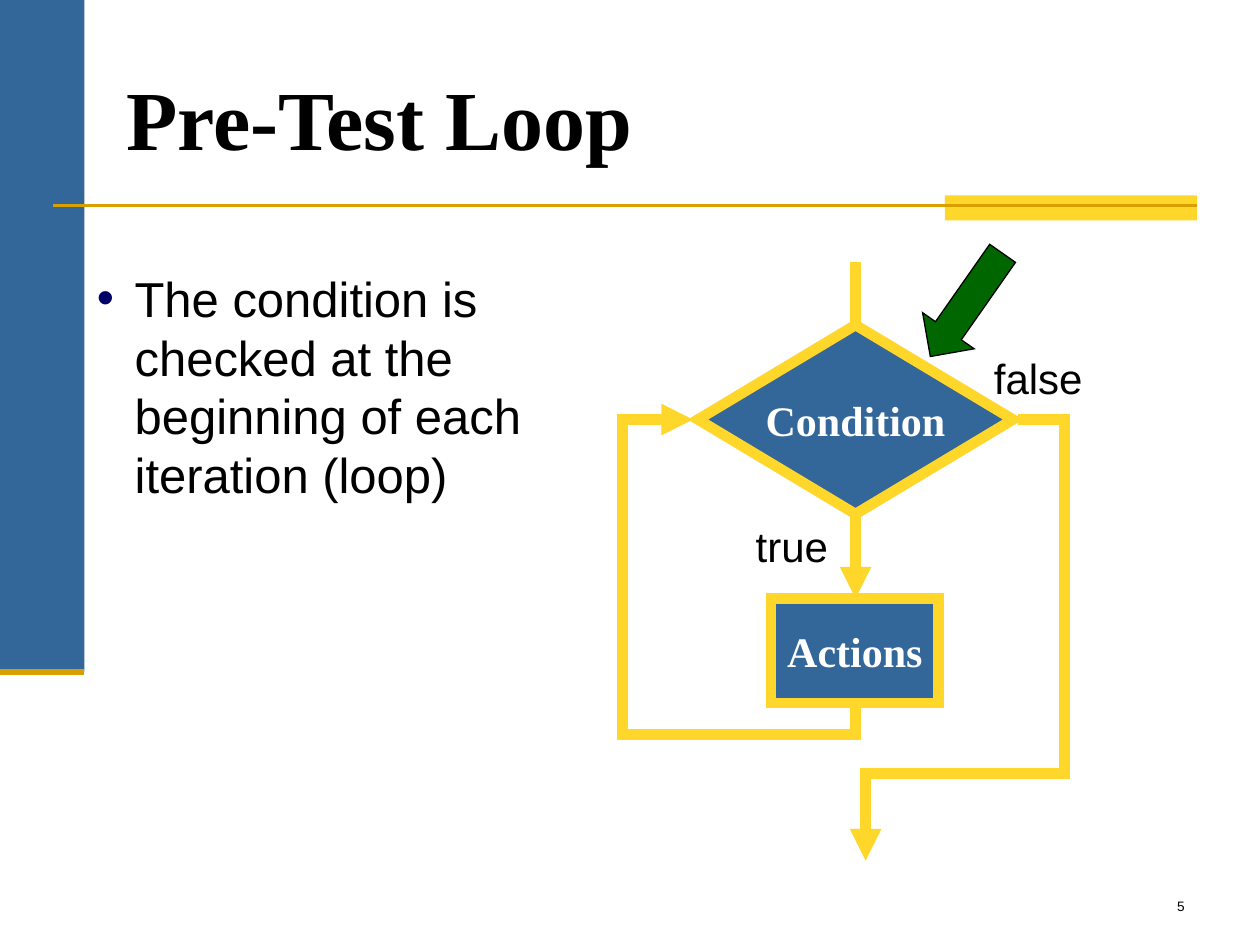
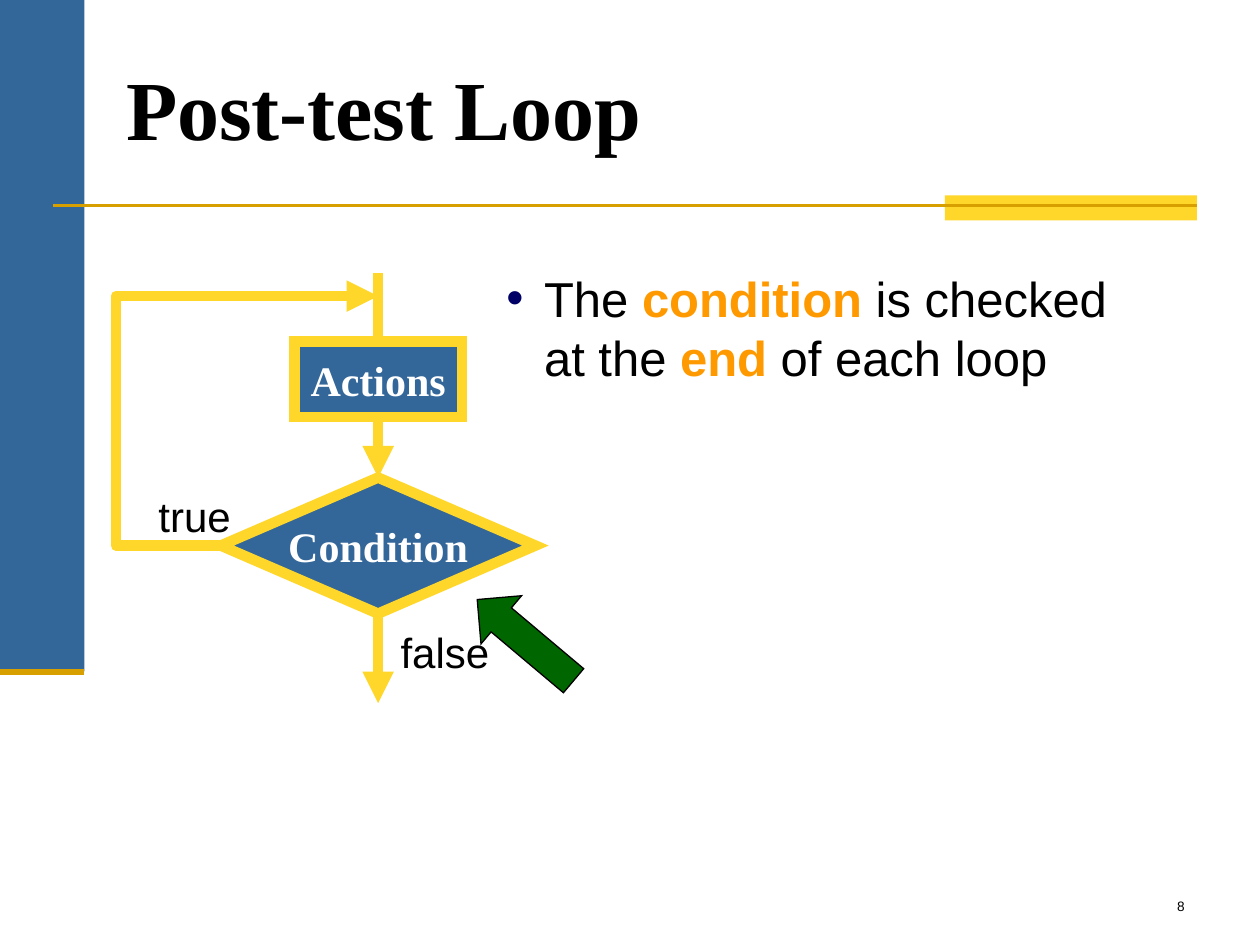
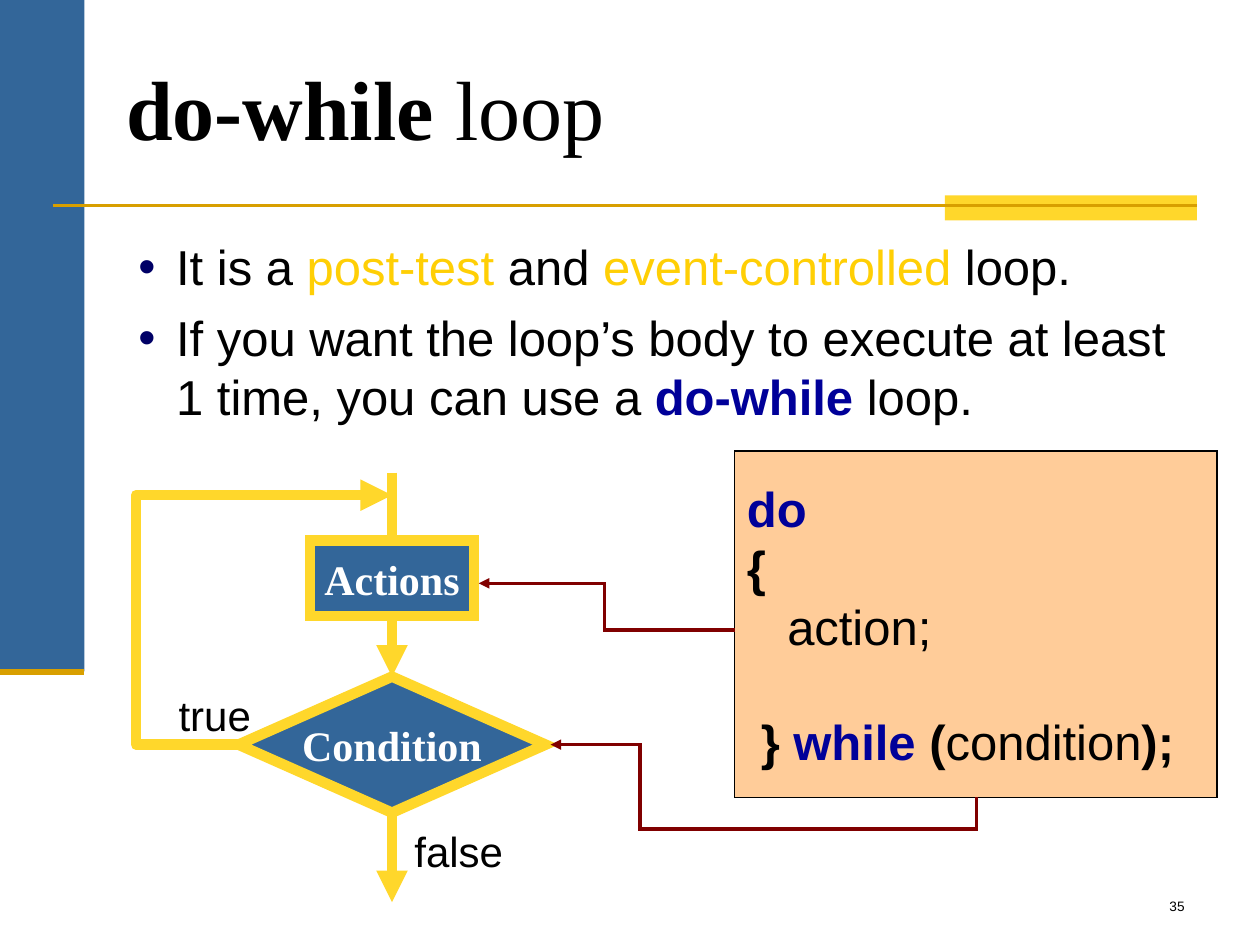
from lxml import etree
from pptx import Presentation
from pptx.dml.color import RGBColor
from pptx.enum.shapes import MSO_CONNECTOR, MSO_SHAPE
from pptx.enum.text import MSO_ANCHOR, MSO_AUTO_SIZE, PP_ALIGN
from pptx.oxml.ns import qn
from pptx.util import Inches, Pt

STRAIGHT = MSO_CONNECTOR.STRAIGHT
RECTANGLE = MSO_SHAPE.RECTANGLE
DECISION = MSO_SHAPE.FLOWCHART_DECISION
RIGHT_ARROW = MSO_SHAPE.RIGHT_ARROW
LEFT, CENTER, RIGHT = PP_ALIGN.LEFT, PP_ALIGN.CENTER, PP_ALIGN.RIGHT
TOP, MIDDLE, BOTTOM = MSO_ANCHOR.TOP, MSO_ANCHOR.MIDDLE, MSO_ANCHOR.BOTTOM
NO_FIT = MSO_AUTO_SIZE.NONE

BLACK = RGBColor(0x00, 0x00, 0x00)
WHITE = RGBColor(0xFF, 0xFF, 0xFF)
BLUE = RGBColor(0x33, 0x66, 0x99)
YELLOW = RGBColor(0xFF, 0xD7, 0x2B)
GOLD = RGBColor(0xD8, 0x9F, 0x00)
GREEN = RGBColor(0x00, 0x66, 0x00)
ORANGE = RGBColor(0xFF, 0x99, 0x00)
AMBER = RGBColor(0xFF, 0xCF, 0x05)
KEYWORD = RGBColor(0x00, 0x00, 0x99)
BULLET = RGBColor(0x00, 0x00, 0x66)
PEACH = RGBColor(0xFF, 0xCC, 0x99)
MAROON = RGBColor(0x80, 0x00, 0x00)

SANS, SERIF = "Arial", "Times New Roman"
FLOW_WIDTH = 6
LINK_WIDTH = 2


def add_runs(paragraph, runs, size, font=SANS):
    for text, color, bold in runs:
        run = paragraph.add_run()
        run.text = text
        run.font.size = Pt(size)
        run.font.name = font
        run.font.bold = bold
        run.font.color.rgb = color


def set_line(item, color, width, arrow=False, miter=False):
    item.line.color.rgb = color
    item.line.width = Pt(width)
    outline = item.element.spPr.find(qn("a:ln"))
    if miter:
        etree.SubElement(outline, qn("a:miter"), lim="800000")
    if arrow:
        etree.SubElement(outline, qn("a:tailEnd"), type="triangle")


def add_line(slide, start, end, color=YELLOW, width=FLOW_WIDTH, arrow=False):
    line = slide.shapes.add_connector(
        STRAIGHT, *(Inches(value) for value in (*start, *end)))
    set_line(line, color, width, arrow)
    etree.SubElement(line.element.spPr, qn("a:effectLst"))


def add_route(slide, points, color=YELLOW, width=FLOW_WIDTH, miter=True):
    start, *turns = [(Inches(x), Inches(y)) for x, y in points]
    builder = slide.shapes.build_freeform(*start)
    builder.add_line_segments(turns, close=False)
    route = builder.convert_to_shape()
    route.shadow.inherit = False
    route.fill.background()
    set_line(route, color, width, arrow=True, miter=miter)


def add_block(slide, kind, box, fill, line=None, width=0.75):
    block = slide.shapes.add_shape(kind, *map(Inches, box))
    block.shadow.inherit = False
    block.fill.solid()
    block.fill.fore_color.rgb = fill
    if line is None:
        block.line.fill.background()
    else:
        set_line(block, line, width, miter=True)
    return block


def add_step(slide, kind, box, name):
    frame = add_block(slide, kind, box, BLUE, YELLOW, FLOW_WIDTH).text_frame
    frame.word_wrap = False
    frame.vertical_anchor = MIDDLE
    frame.paragraphs[0].alignment = CENTER
    add_runs(frame.paragraphs[0], [(name, WHITE, True)], 24, SERIF)


def add_text(slide, box):
    frame = slide.shapes.add_textbox(*map(Inches, box)).text_frame
    frame.word_wrap = True
    frame.vertical_anchor = TOP
    return frame


def add_branch_label(slide, left, top, width, outcome):
    frame = add_text(slide, (left, top, width, 0.5))
    frame.margin_left = 0
    frame.paragraphs[0].alignment = RIGHT
    add_runs(frame.paragraphs[0], [(outcome, BLACK, False)], 24)


def add_pointer(slide, left, top, angle):
    pointer = add_block(slide, RIGHT_ARROW, (left, top, 1, 0.5), GREEN, BLACK)
    pointer.rotation = angle


def add_bullets(slide, box, items):
    frame = add_text(slide, box)
    for index, runs in enumerate(items):
        item = frame.add_paragraph() if index else frame.paragraphs[0]
        item.space_before = Pt(7)
        properties = item._p.get_or_add_pPr()
        properties.set("marL", str(Inches(0.3)))
        properties.set("indent", str(-Inches(0.3)))
        color = etree.SubElement(properties, qn("a:buClr"))
        etree.SubElement(color, qn("a:srgbClr"), val=str(BULLET))
        etree.SubElement(properties, qn("a:buFont"), typeface=SANS)
        etree.SubElement(properties, qn("a:buChar"), char="•")
        add_runs(item, runs, 28)


def add_page(deck, title_runs, number, title_height=0.95):
    slide = deck.slides.add_slide(deck.slide_layouts[5])
    add_block(slide, RECTANGLE, (0, 0, 0.67, 5.33), BLUE)
    add_block(slide, RECTANGLE, (7.5, 1.55, 2, 0.2), YELLOW)
    add_line(slide, (0.42, 1.63), (9.5, 1.63), GOLD, 1.5)
    add_line(slide, (0, 5.33), (0.67, 5.33), GOLD, 3.5)

    title = slide.shapes.title
    title.left, title.top = Inches(1), Inches(0.3)
    title.width, title.height = Inches(8.5), Inches(title_height)
    heading = title.text_frame
    heading.word_wrap = True
    heading.auto_size = NO_FIT
    heading.vertical_anchor = BOTTOM
    heading.margin_left = heading.margin_right = heading.margin_bottom = 0
    heading.margin_top = Inches(0.05)
    heading.paragraphs[0].alignment = LEFT
    add_runs(heading.paragraphs[0], title_runs, 48, SERIF)

    footer = add_text(slide, (7.42, 7.08, 2.08, 0.25)).paragraphs[0]
    footer.alignment = RIGHT
    add_runs(footer, [(number, BLACK, False)], 7.8)
    return slide


def add_pre_test_flow(slide, left, top):
    axis = left + 1.85
    middle = top + 1.25
    add_step(slide, DECISION, (axis - 1.25, top + 0.5, 2.5, 1.5), "Condition")
    add_line(slide, (axis, top + 2), (axis, top + 2.67), arrow=True)
    add_step(slide, RECTANGLE, (axis - 0.67, top + 2.67, 1.33, 0.83), "Actions")
    add_route(slide, [(axis, top + 3.54), (axis, top + 3.75), (left, top + 3.75),
                      (left, middle), (left + 0.56, middle)])
    exit_axis = axis + 0.08
    add_route(slide, [(axis + 1.29, middle), (left + 3.51, middle),
                      (left + 3.51, top + 4.06), (exit_axis, top + 4.06),
                      (exit_axis, top + 4.75)])
    add_line(slide, (axis, top), (axis, top + 0.5))
    add_branch_label(slide, left + 0.95, top + 2, 0.78, "true")
    add_branch_label(slide, left + 2.85, top + 0.67, 0.9, "false")


def add_post_test_flow(slide, left, top, width):
    axis = left + width * 0.625
    condition_width, actions_width = width * 0.75, width * 0.4
    middle = top + 2.16
    add_step(slide, DECISION,
             (axis - condition_width / 2, top + 1.62, condition_width, 1.08),
             "Condition")
    add_line(slide, (axis, top + 1.14), (axis, top + 1.62), arrow=True)
    add_step(slide, RECTANGLE,
             (axis - actions_width / 2, top + 0.54, actions_width, 0.6), "Actions")
    add_branch_label(slide, left + 0.24, top + 1.67, 0.77, "true")
    add_branch_label(slide, axis + 0.08, top + 2.75, 0.9, "false")
    add_line(slide, (axis, top + 2.7), (axis, top + 3.41), arrow=True)
    add_route(slide, [(left + 0.86, middle), (left, middle), (left, top + 0.18),
                      (axis, top + 0.18)], miter=False)
    add_line(slide, (axis, top), (axis, top + 0.54))


def add_code(slide, box):
    frame = add_block(slide, RECTANGLE, box, PEACH, BLACK).text_frame
    frame.word_wrap = True
    frame.vertical_anchor = MIDDLE
    lines = [
        (0, 0, [("do", KEYWORD, True)]),
        (0, 0, [("{", BLACK, True)]),
        (0.32, 0, [("action;", BLACK, False)]),
        (0.11, 32, [("} ", BLACK, True), ("while", KEYWORD, True),
                    (" (", BLACK, True), ("condition", BLACK, False),
                    (");", BLACK, True)]),
    ]
    for index, (indent, gap, runs) in enumerate(lines):
        line = frame.add_paragraph() if index else frame.paragraphs[0]
        line.alignment = LEFT
        line.space_before = Pt(gap)
        line._p.get_or_add_pPr().set("marL", str(Inches(indent)))
        add_runs(line, runs, 28)


def build_pre_test(deck):
    slide = add_page(deck, [("Pre-Test Loop", BLACK, True)], "5", 1.03)
    add_bullets(slide, (0.67, 2.08, 4.42, 4.85), [
        [("The condition is checked at the beginning of each iteration (loop)",
          BLACK, False)],
    ])
    add_pre_test_flow(slide, 4.94, 2.08)
    add_pointer(slide, 7.17, 2.17, 125)


def build_post_test(deck):
    slide = add_page(deck, [("Post-test Loop", BLACK, True)], "8")
    add_bullets(slide, (3.92, 2.08, 5.17, 4.08), [
        [("The ", BLACK, False), ("condition", ORANGE, True),
         (" is checked at the ", BLACK, False), ("end", ORANGE, True),
         (" of each loop", BLACK, False)],
    ])
    add_post_test_flow(slide, 0.92, 2.17, 3.33)
    add_pointer(slide, 3.67, 4.83, 220.1)


def build_do_while(deck):
    slide = add_page(deck, [("do-while ", BLACK, True), ("loop", BLACK, False)], "35")
    add_bullets(slide, (1, 1.83, 8.5, 4.87), [
        [("It is a ", BLACK, False), ("post-test ", AMBER, False),
         ("and ", BLACK, False), ("event-controlled", AMBER, False),
         (" loop.", BLACK, False)],
        [("If you want the loop’s body to execute at least 1 time, you can use a ",
          BLACK, False),
         ("do-while ", KEYWORD, True), ("loop.", BLACK, False)],
    ])
    add_code(slide, (5.83, 3.58, 3.83, 2.75))
    add_post_test_flow(slide, 1.08, 3.75, 3.25)
    condition_link = [(7.75, 6.33), (7.75, 6.58), (5.08, 6.58), (5.08, 5.91),
                      (4.37, 5.91)]
    action_link = [(5.83, 5), (4.8, 5), (4.8, 4.63), (3.8, 4.63)]
    for link in (condition_link, action_link):
        add_route(slide, link, MAROON, LINK_WIDTH)


def main():
    deck = Presentation()
    deck.slide_width, deck.slide_height = Inches(10), Inches(7.5)
    build_pre_test(deck)
    build_post_test(deck)
    build_do_while(deck)
    deck.save("out.pptx")


if __name__ == "__main__":
    main()
